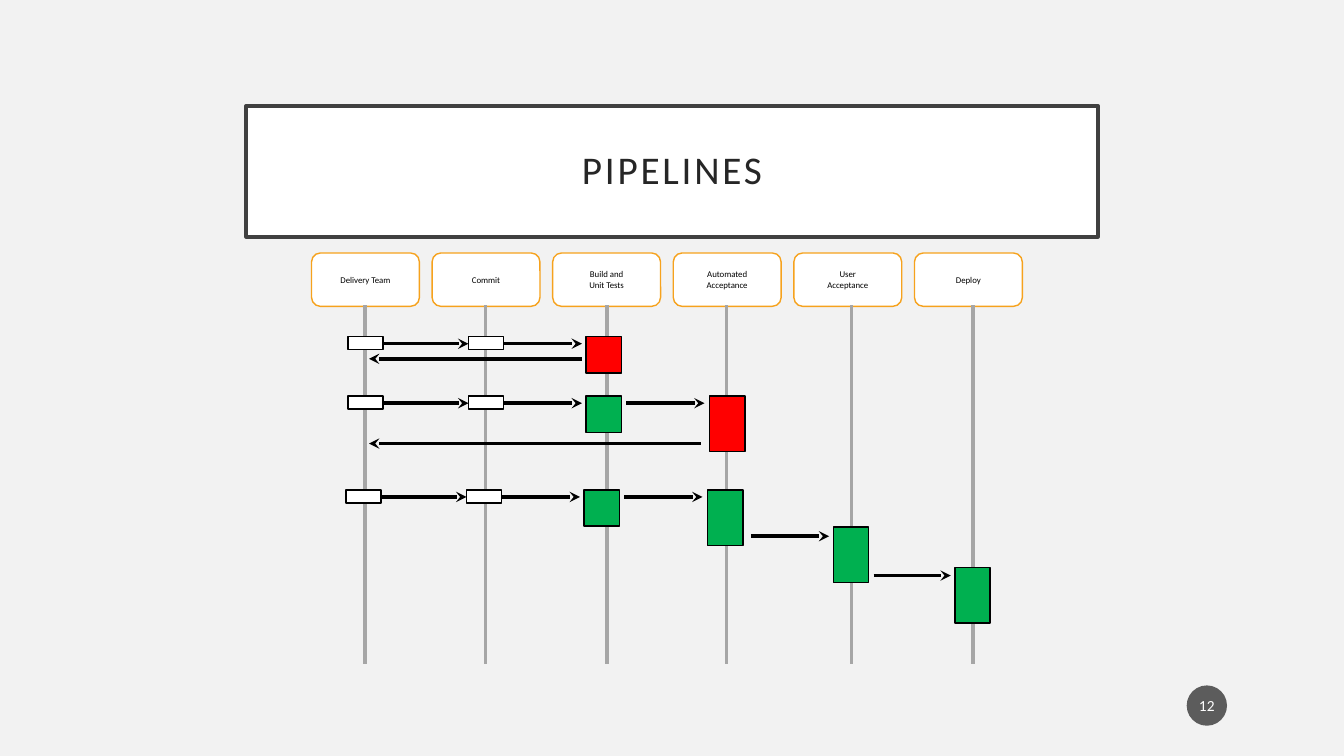
from dataclasses import dataclass

import lxml.etree
import pptx
import pptx.dml.color
import pptx.enum.shapes
import pptx.enum.text
import pptx.oxml.ns
import pptx.util

RGBColor = pptx.dml.color.RGBColor
MSO_SHAPE = pptx.enum.shapes.MSO_SHAPE
qn = pptx.oxml.ns.qn

BACKGROUND = RGBColor(0xF2, 0xF2, 0xF2)
WHITE = RGBColor(0xFF, 0xFF, 0xFF)
BLACK = RGBColor(0x00, 0x00, 0x00)
TITLE_TEXT = RGBColor(0x26, 0x26, 0x26)
TITLE_BORDER = RGBColor(0x40, 0x40, 0x40)
BADGE = RGBColor(0x1D, 0x1D, 0x1D)
ORANGE = RGBColor(0xF6, 0xA2, 0x1D)
GREY = RGBColor(0xA6, 0xA6, 0xA6)
RED = RGBColor(0xFF, 0x00, 0x00)
GREEN = RGBColor(0x00, 0xB0, 0x50)
FONT = "Calibri"

# Grid in inches: six equally spaced columns
FIRST_COLUMN, LAST_COLUMN = 3.09, 9.07
HEADER_TOP, HEADER_WIDTH, HEADER_HEIGHT = 2.51, 1.07, 0.53
LIFELINE_TOP, LIFELINE_BOTTOM = 3.03, 6.59
BOX_WIDTH = 0.35
RETURN_END = 3.66


@dataclass(frozen=True)
class Stage:
    label: str
    lifeline: float       # offset from the column's left edge
    box: float            # offset from the column's left edge
    height: float
    drop: float = 0       # box top below the top of the run
    arrow: float = 0.07   # incoming arrow below the box top
    gap_in: float = 0.04  # between incoming arrow and box
    gap_out: float = 0    # between box and outgoing arrow


@dataclass(frozen=True)
class Run:
    top: float
    stages: int
    failed: bool = True
    shift: float = 0
    return_drop: float = 0
    return_gap: float = 0


STAGES = (
    Stage("Delivery Team", 0.53, 0.36, 0.13),
    Stage("Commit", 0.53, 0.36, 0.13, gap_in=0),
    Stage("Build and Unit Tests", 0.54, 0.33, 0.36, gap_out=0.05),
    Stage("Automated Acceptance", 0.53, 0.36, 0.55, gap_in=0.05, gap_out=0.08),
    Stage("User Acceptance", 0.57, 0.41, 0.55, drop=0.37, arrow=0.09, gap_out=0.05),
    Stage("Deploy", 0.58, 0.42, 0.55, drop=0.77, arrow=0.08),
)
RUNS = (
    Run(3.34, 3, return_drop=0.22, return_gap=0.04),
    Run(3.93, 4, return_drop=0.47, return_gap=0.09),
    Run(4.86, 6, failed=False, shift=-0.02),
)


def column(i: int) -> float:
    return FIRST_COLUMN + i * (LAST_COLUMN - FIRST_COLUMN) / (len(STAGES) - 1)


def add_box(s, kind, left: float, top: float, width: float, height: float,
            fill: RGBColor, line: RGBColor | None = BLACK, weight: float = 1):
    sp = s.shapes.add_shape(kind, *map(pptx.util.Inches, (left, top, width, height)))
    sp.shadow.inherit = False
    sp.fill.solid()
    sp.fill.fore_color.rgb = fill
    if line is None:
        sp.line.fill.background()
    else:
        sp.line.color.rgb = line
        sp.line.width = pptx.util.Pt(weight)
    return sp


def set_text(sp, text: str, size: float, color: RGBColor,
             inset_x: float, inset_y: float):
    tf = sp.text_frame
    tf.word_wrap = True
    tf.vertical_anchor = pptx.enum.text.MSO_ANCHOR.MIDDLE
    tf.margin_left = tf.margin_right = pptx.util.Inches(inset_x)
    tf.margin_top = tf.margin_bottom = pptx.util.Inches(inset_y)
    p = tf.paragraphs[0]
    p.text = text
    p.alignment = pptx.enum.text.PP_ALIGN.CENTER
    p.font.name = FONT
    p.font.size = pptx.util.Pt(size)
    p.font.color.rgb = color
    return p


def add_line(s, x1: float, y1: float, x2: float, y2: float,
             color: RGBColor = BLACK, arrow: bool = True) -> None:
    c = s.shapes.add_connector(pptx.enum.shapes.MSO_CONNECTOR.STRAIGHT,
                               *map(pptx.util.Inches, (x1, y1, x2, y2)))
    c.line.color.rgb = color
    c.line.width = pptx.util.Pt(2.5)
    if arrow:
        lxml.etree.SubElement(c.line._get_or_add_ln(), qn("a:tailEnd"), type="stealth")
    lxml.etree.SubElement(c._element.spPr, qn("a:effectLst"))


def add_title(s) -> None:
    sp = add_box(s, MSO_SHAPE.RECTANGLE, 2.44, 1.05, 8.45, 1.3, WHITE, TITLE_BORDER, 2.5)
    p = set_text(sp, "PIPELINES", 28, TITLE_TEXT, 0.2, 0.2)
    p.line_spacing = 0.9
    p.runs[0].font._element.set("spc", "200")


def add_page_number(s) -> None:
    sp = add_box(s, MSO_SHAPE.OVAL, 11.77, 6.8, 0.4, 0.4, BADGE, None)
    set_text(sp, "12", 11, WHITE, 0.02, 0.05)
    srgb = sp._element.spPr.find(qn("a:solidFill")).find(qn("a:srgbClr"))
    lxml.etree.SubElement(srgb, qn("a:alpha"), val="70000")


def add_stages(s) -> None:
    for i, stage in enumerate(STAGES):
        sp = add_box(s, MSO_SHAPE.ROUNDED_RECTANGLE, column(i), HEADER_TOP,
                     HEADER_WIDTH, HEADER_HEIGHT, WHITE, ORANGE)
        set_text(sp, stage.label, 6.3, BLACK, 0.26, 0.13)
    for i, stage in enumerate(STAGES):
        x = column(i) + stage.lifeline
        add_line(s, x, LIFELINE_TOP, x, LIFELINE_BOTTOM, GREY, arrow=False)


def add_run(s, run: Run) -> None:
    arrow_start = 0.0
    for i, stage in enumerate(STAGES[:run.stages]):
        left = column(i) + stage.box + run.shift
        top = run.top + stage.drop
        is_last = i == run.stages - 1
        if i < 2:
            fill = WHITE
        else:
            fill = RED if run.failed and is_last else GREEN
        add_box(s, MSO_SHAPE.RECTANGLE, left, top, BOX_WIDTH, stage.height, fill)
        if i:
            y = top + stage.arrow
            add_line(s, arrow_start, y, left - stage.gap_in, y)
        arrow_start = left + BOX_WIDTH + stage.gap_out
    # A failed run reports back to the delivery team
    if run.failed:
        y = run.top + run.return_drop
        add_line(s, left - run.return_gap, y, RETURN_END, y)


def main() -> None:
    prs = pptx.Presentation()
    prs.slide_width = pptx.util.Inches(13.33)
    prs.slide_height = pptx.util.Inches(7.5)
    s = prs.slides.add_slide(prs.slide_layouts[6])
    s.background.fill.solid()
    s.background.fill.fore_color.rgb = BACKGROUND

    add_title(s)
    add_page_number(s)
    add_stages(s)
    for run in RUNS:
        add_run(s, run)
    prs.save("out.pptx")


if __name__ == "__main__":
    main()
